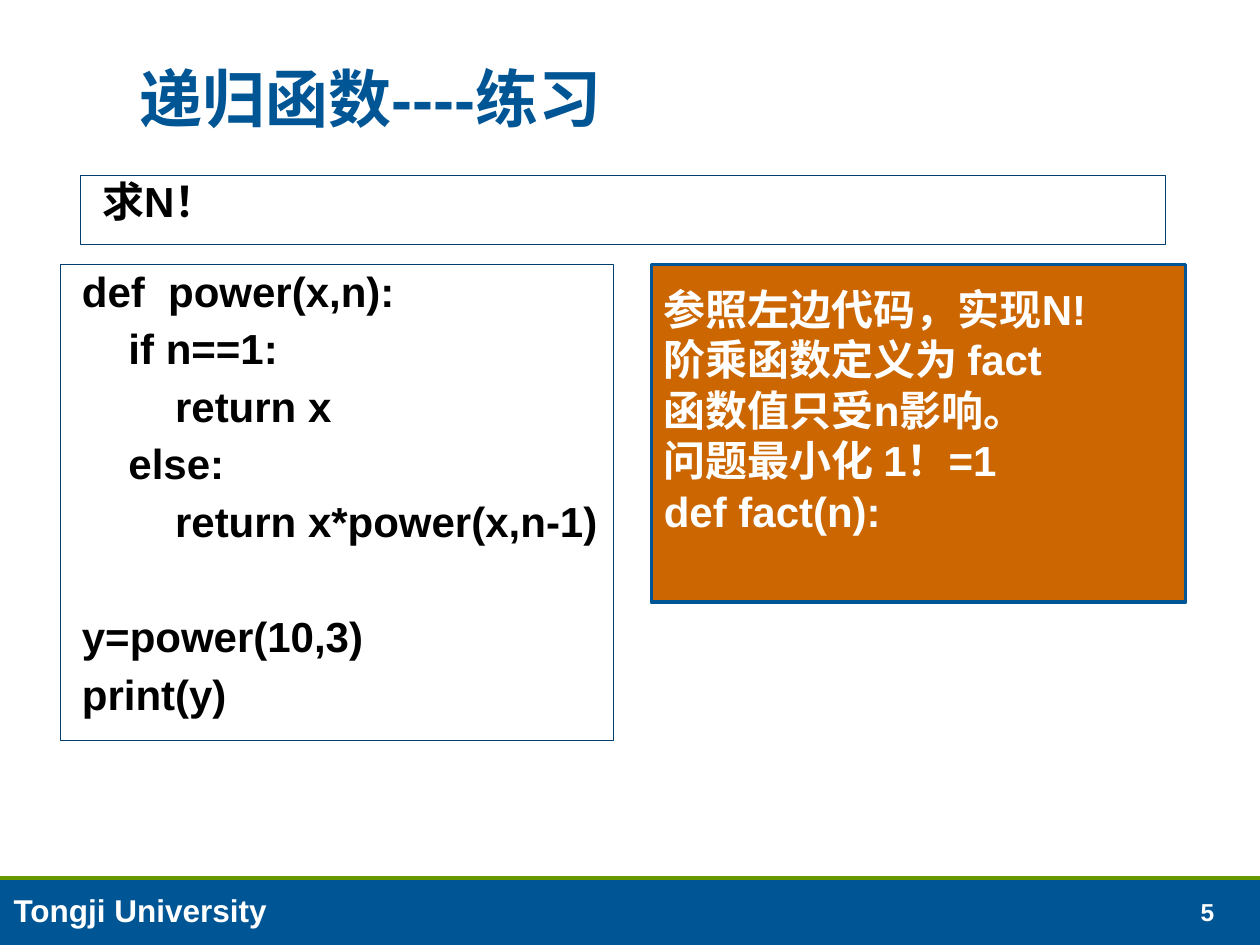
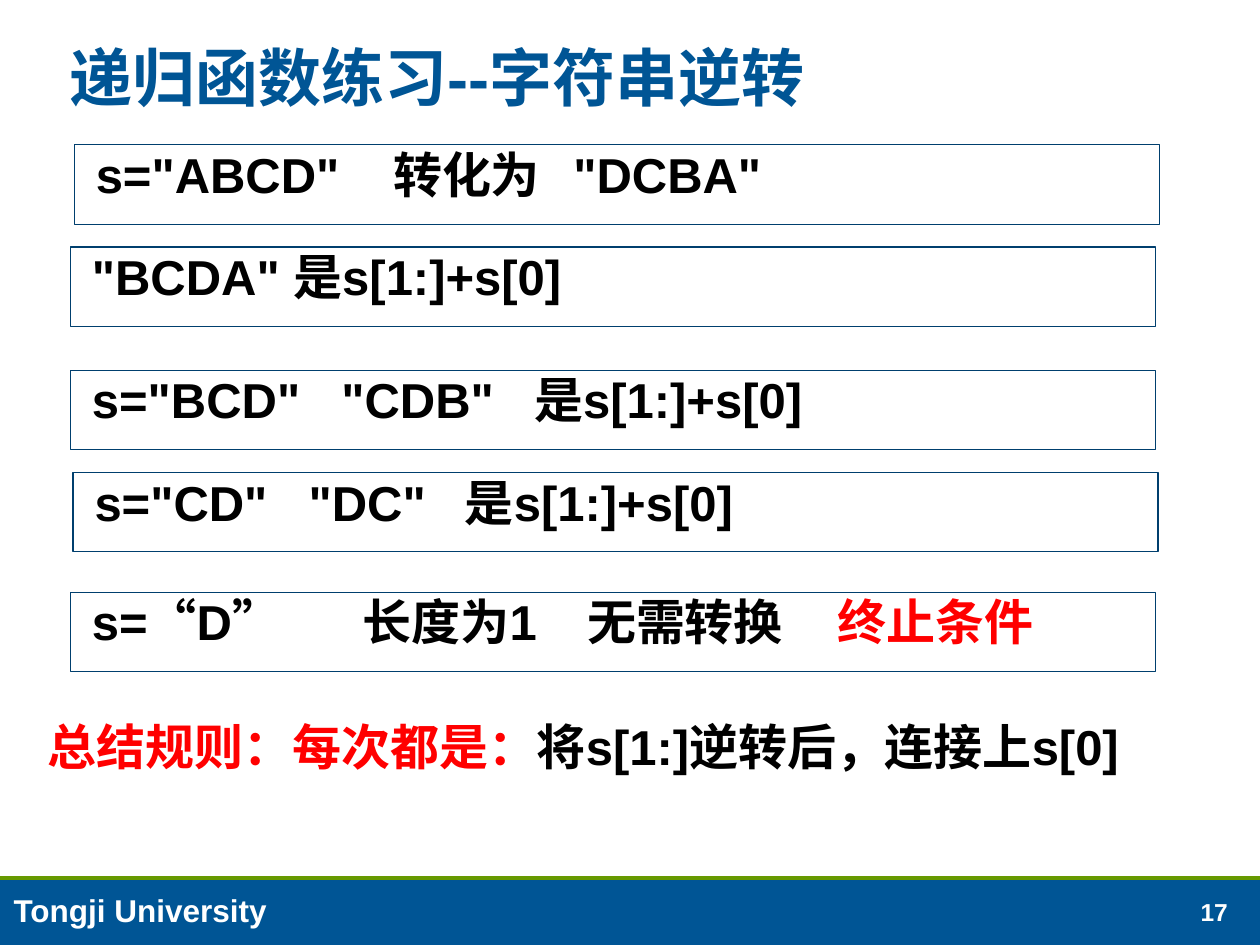
from pptx import Presentation
from pptx.dml.color import RGBColor
from pptx.enum.shapes import MSO_CONNECTOR, MSO_SHAPE
from pptx.enum.text import MSO_ANCHOR, MSO_AUTO_SIZE, PP_ALIGN
from pptx.oxml.ns import qn
from pptx.util import Inches, Pt
from lxml import etree

RECTANGLE, STRAIGHT = MSO_SHAPE.RECTANGLE, MSO_CONNECTOR.STRAIGHT
TOP, MIDDLE, BOTTOM = MSO_ANCHOR.TOP, MSO_ANCHOR.MIDDLE, MSO_ANCHOR.BOTTOM
LEFT, JUSTIFY = PP_ALIGN.LEFT, PP_ALIGN.JUSTIFY
FIXED = MSO_AUTO_SIZE.NONE

BLUE, NAVY, GREEN, ORANGE = "005595", "003F6E", "669900", "CC6600"
WHITE, BLACK, RED = "FFFFFF", "000000", "FF0000"

# Grid: 100 columns by 75 rows over the whole slide
presentation = Presentation()
presentation.slide_width, presentation.slide_height = Inches(10), Inches(7.5)
COLUMN = presentation.slide_width // 100
ROW = presentation.slide_height // 75
BAND_TOP = 69.7
TITLE_ONLY = presentation.slide_layouts[5]


def color(value):
    return RGBColor.from_string(value)


def write(shape, lines, size, ink=BLACK, anchor=TOP, align=LEFT, leading=1.0,
          gap=0, tabs=(), wrap=True):
    """Fill a shape with lines; each line is a list of (text, colour or None)."""
    frame = shape.text_frame
    frame.word_wrap, frame.auto_size, frame.vertical_anchor = wrap, FIXED, anchor
    for index, line in enumerate(lines):
        paragraph = frame.paragraphs[0] if index == 0 else frame.add_paragraph()
        paragraph.alignment, paragraph.line_spacing = align, leading
        paragraph.space_before = Pt(gap if index else 0)
        if tabs:
            properties = paragraph._p.get_or_add_pPr()
            tab_list = etree.SubElement(properties, qn("a:tabLst"))
            for position in tabs:
                etree.SubElement(tab_list, qn("a:tab"), pos=str(Inches(position)), algn="l")
        for text, run_ink in line:
            run = paragraph.add_run()
            run.text = text
            run.font.name, run.font.size, run.font.bold = "Arial", Pt(size), True
            run.font.color.rgb = color(run_ink or ink)
    return frame


# Slide content: title, its left and top, page number
# Boxes: left, top, width, height, text size, lines, tab stops in inches
code = ["def  power(x,n):", "    if n==1:", "        return x", "    else:",
        "        return x*power(x,n-1)", "y=power(10,3)", "print(y)"]
factorial_boxes = [
    (6.4, 13.9, 86.1, 5.5, 24, [[("求N！", None)]], ()),
    (4.8, 21, 43.9, 37.8, 24, [[(line, None)] for line in code], ()),
]
steps = [
    (5.9, 11.5, [('s="ABCD"\t转化为\t"DCBA"', None)], (2.36, 3.79)),
    (5.6, 19.6, [('"BCDA" 是s[1:]+s[0]', None)], ()),
    (5.6, 29.4, [('s="BCD"\t"CDB"\t是s[1:]+s[0]', None)], (1.98, 3.51)),
    (5.8, 37.5, [('s="CD"\t"DC"\t是s[1:]+s[0]', None)], (1.7, 2.94)),
    (5.6, 47, [("s=“D”\t长度为1\t无需转换\t", None), ("终止条件", RED)],
     (2.15, 3.93, 5.92)),
]
reversal_boxes = [(left, top, 86.1, 6.3, 28, [line], tabs)
                  for left, top, line, tabs in steps]
pages = [
    ("递归函数----练习", 10.1, 3.7, "5", factorial_boxes),
    ("递归函数练习--字符串逆转", 4.5, 2, "17", reversal_boxes),
]

slides = []
for title_text, title_left, title_top, number, boxes in pages:
    slide = presentation.slides.add_slide(TITLE_ONLY)
    slides.append(slide)

    # Footer band with its green rule
    band = slide.shapes.add_shape(RECTANGLE, 0, int(BAND_TOP * ROW),
                                  100 * COLUMN, int(5.3 * ROW))
    band.shadow.inherit = False
    band.fill.solid()
    band.fill.fore_color.rgb = color(BLUE)
    band.line.fill.background()
    rule = slide.shapes.add_connector(STRAIGHT, 0, int(BAND_TOP * ROW),
                                      100 * COLUMN, int(BAND_TOP * ROW))
    rule.line.color.rgb, rule.line.width = color(GREEN), Pt(2)
    etree.SubElement(rule._element.spPr, qn("a:effectLst"))

    # Footer texts
    for text, left, top, width, height, size, anchor, wrap in [
            (number, 94.3, 70.6, 5.3, 3.4, 14, BOTTOM, False),
            ("Tongji University", 0.1, 70.2, 35.1, 4, 18, TOP, True)]:
        label = slide.shapes.add_textbox(int(left * COLUMN), int(top * ROW),
                                         int(width * COLUMN), int(height * ROW))
        write(label, [[(text, None)]], size, WHITE, anchor, wrap=wrap)

    # Title
    title = slide.shapes.title
    title.left, title.top = int(title_left * COLUMN), int(title_top * ROW)
    title.width, title.height = int(84 * COLUMN), int(7.7 * ROW)
    write(title, [[(title_text, None)]], 36, BLUE, BOTTOM, leading=0.95)

    # Outlined boxes
    for left, top, width, height, size, lines, tabs in boxes:
        box = slide.shapes.add_shape(RECTANGLE, int(left * COLUMN), int(top * ROW),
                                     int(width * COLUMN), int(height * ROW))
        box.shadow.inherit = False
        box.fill.solid()
        box.fill.fore_color.rgb = color(WHITE)
        box.line.color.rgb, box.line.width = color(NAVY), Pt(0.75)
        frame = write(box, lines, size, leading=0.9, gap=7, tabs=tabs)
        frame.margin_left = Inches(0.17)
        if len(lines) == len(code):
            # Set the call apart from the function
            frame.paragraphs[code.index("y=power(10,3)")].space_before = Pt(40)

factorial_slide, reversal_slide = slides

# Orange task card
card = factorial_slide.shapes.add_shape(RECTANGLE, int(51.7 * COLUMN), 21 * ROW,
                                        int(42.4 * COLUMN), int(26.8 * ROW))
card.shadow.inherit = False
card.fill.solid()
card.fill.fore_color.rgb = color(ORANGE)
card.line.color.rgb, card.line.width = color(BLUE), Pt(2)
task = ["参照左边代码，实现N!", "阶乘函数定义为 fact", "函数值只受n影响。",
        "问题最小化 1！=1", "def fact(n):"]
frame = write(card, [[(line, None)] for line in task], 24, WHITE, MIDDLE, JUSTIFY)
frame.margin_bottom = Inches(0.43)

# Rule that sums up the steps
summary = reversal_slide.shapes.add_textbox(int(2.8 * COLUMN), int(56.4 * ROW),
                                            int(92.9 * COLUMN), int(5.7 * ROW))
write(summary, [[("总结规则：每次都是：", RED), ("将s[1:]逆转后，连接上s[0]", None)]], 28)

presentation.save("out.pptx")
